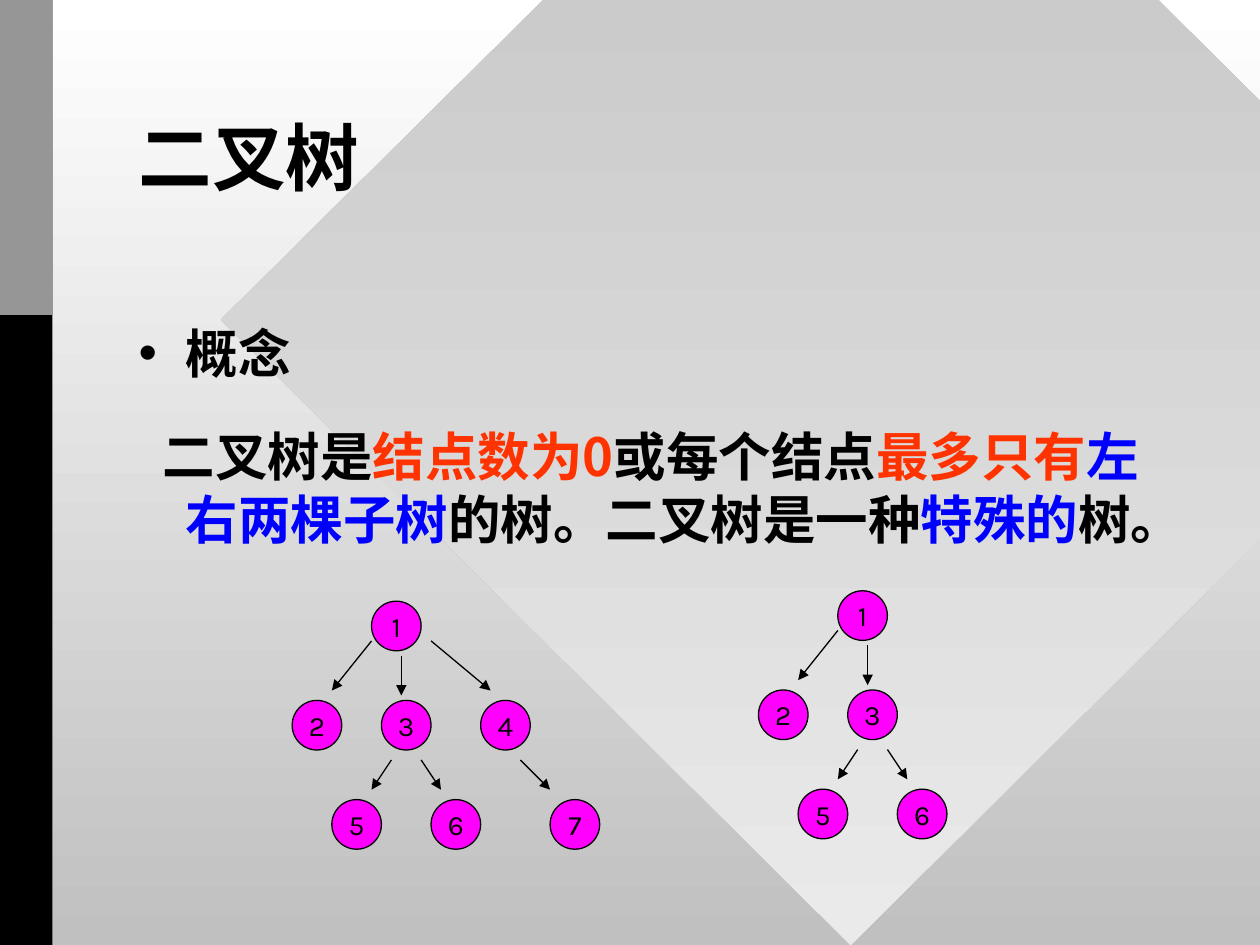
from lxml import etree
from pptx import Presentation
from pptx import util as u
from pptx.dml.color import RGBColor
from pptx.enum import shapes, text
from pptx.oxml import ns

INK, RED, BLUE, MAGENTA = "010000", "FF3300", "0000FF", "FF00FF"
LATIN, CHINESE = "Karla", "Noto Sans CJK SC"

# Offsets in cm from the top left corner of each tree's root node
NODES = {"1": (0, 0), "2": (-1.6, 2), "3": (0.2, 2), "4": (2.2, 2),
         "5": (-0.8, 4), "6": (1.2, 4), "7": (3.6, 4)}
ARROWS = {"2": (0, 0.8, -0.8, 1.8), "3": (0.6, 1.1, 0.6, 1.9),
          "4": (1.2, 0.8, 2.4, 1.8), "5": (0.4, 3.2, 0, 3.8),
          "6": (1, 3.2, 1.4, 3.8), "7": (3, 3.2, 3.6, 3.8)}
TREES = [((7.49, 12.12), "1234567"), ((16.89, 11.91), "12356")]

DEFINITION = [("二叉树是", INK), ("结点数为0", RED), ("或每个结点", INK),
              ("最多只有", RED), ("左右两棵子树", BLUE),
              ("的树。二叉树是一种", INK), ("特殊的", BLUE), ("树。", INK)]


def rgb(value):
    return RGBColor.from_string(value)


def apply(target, values):
    for name, value in values.items():
        setattr(target, name, value)


def fill_gradient(fill, colours):
    """Vertical gradient from the first colour at the top to the second."""
    fill.gradient()
    fill.gradient_angle = 270
    for stop, colour, position in zip(fill.gradient_stops, colours, (0, 1)):
        stop.color.rgb = rgb(colour)
        stop.position = position


class SlideBuilder:
    def __init__(self, page):
        self.page = page
        self.line_width = u.Pt(0.75)
        self.node_size = u.Cm(1)

    def background(self, colours):
        fill_gradient(self.page.background.fill, colours)

    def decoration(self, kind, place, colours):
        shape = self.page.shapes.add_shape(kind, *map(u.Cm, place))
        shape.shadow.inherit = False
        shape.line.fill.background()
        if len(colours) == 2:
            fill_gradient(shape.fill, colours)
        else:
            shape.fill.solid()
            shape.fill.fore_color.rgb = rgb(colours[0])

    def placeholder(self, index, place, anchor):
        """Place a template placeholder in front of what is already drawn."""
        box = self.page.placeholders[index]
        apply(box, dict(zip(("left", "top", "width", "height"), map(u.Cm, place))))
        apply(box.text_frame, {"word_wrap": True, "vertical_anchor": anchor,
                               "auto_size": text.MSO_AUTO_SIZE.NONE})
        box.element.getparent().append(box.element)
        return box.text_frame

    def span(self, para, words, size, colour=INK, latin=LATIN, bold=True):
        span = para.add_run()
        span.text = words
        apply(span.font, {"size": u.Pt(size), "bold": bold, "name": latin})
        span.font.color.rgb = rgb(colour)
        etree.SubElement(span._r.get_or_add_rPr(), ns.qn("a:ea"), typeface=CHINESE)

    def title(self, words, place):
        para = self.placeholder(0, place, text.MSO_ANCHOR.MIDDLE).paragraphs[0]
        apply(para, {"alignment": text.PP_ALIGN.LEFT, "line_spacing": 0.85})
        self.span(para, words, 42)

    def body(self, heading, definition, place):
        frame = self.placeholder(1, place, text.MSO_ANCHOR.TOP)
        bullet = frame.paragraphs[0]
        self.body_layout(bullet, first_indent=-0.95, space_before=0)
        self.span(bullet, heading, 30)
        para = frame.add_paragraph()
        etree.SubElement(para._p.get_or_add_pPr(), ns.qn("a:buNone"))
        self.body_layout(para, first_indent=-0.46, space_before=22.5)
        for words, colour in definition:
            self.span(para, words, 30, colour, CHINESE)

    def body_layout(self, para, first_indent, space_before):
        properties = para._p.get_or_add_pPr()
        properties.set("marL", str(u.Cm(0.95)))
        properties.set("indent", str(u.Cm(first_indent)))
        apply(para, {"line_spacing": u.Pt(36), "space_before": u.Pt(space_before)})

    def node(self, group, label, x, y):
        node = group.shapes.add_shape(shapes.MSO_SHAPE.OVAL, u.Cm(x), u.Cm(y),
                                      self.node_size, self.node_size)
        node.shadow.inherit = False
        node.fill.solid()
        node.fill.fore_color.rgb = rgb(MAGENTA)
        node.line.color.rgb = rgb(INK)
        node.line.width = self.line_width
        apply(node.text_frame, {"word_wrap": False,
                                "vertical_anchor": text.MSO_ANCHOR.MIDDLE})
        para = node.text_frame.paragraphs[0]
        para.alignment = text.PP_ALIGN.CENTER
        self.span(para, label, 16, bold=False)

    def arrow(self, group, ends):
        arrow = group.shapes.add_connector(shapes.MSO_CONNECTOR.STRAIGHT,
                                           *map(u.Cm, ends))
        arrow.line.color.rgb = rgb(INK)
        arrow.line.width = self.line_width
        etree.SubElement(arrow.line._get_or_add_ln(), ns.qn("a:tailEnd"), type="triangle")
        etree.SubElement(arrow.element.spPr, ns.qn("a:effectLst"))

    def tree(self, root, labels):
        left, top = root
        group = self.page.shapes.add_group_shape()
        for label in labels:
            x, y = NODES[label]
            self.node(group, label, left + x, top + y)
        for label in labels[1:]:
            x1, y1, x2, y2 = ARROWS[label]
            self.arrow(group, (left + x1, top + y1, left + x2, top + y2))


def main():
    deck = Presentation()
    apply(deck, {"slide_width": u.Cm(25.4), "slide_height": u.Cm(19.05)})
    builder = SlideBuilder(deck.slides.add_slide(deck.slide_layouts[1]))
    builder.background(("FFFFFF", "C0C0C0"))
    builder.decoration(shapes.MSO_SHAPE.DIAMOND, (4.45, -6.15, 25.4, 25.2),
                       ("C0C0C0", "EAEAEA"))
    for height, colour in ((19.05, "000000"), (6.35, "969696")):
        builder.decoration(shapes.MSO_SHAPE.RECTANGLE, (0, 0, 1.06, height), (colour,))
    builder.title("二叉树", (2.54, 1.69, 20.32, 3.18))
    builder.body("概念", DEFINITION, (2.54, 6.35, 20.96, 10.16))
    for root, labels in TREES:
        builder.tree(root, labels)
    deck.save("out.pptx")


if __name__ == "__main__":
    main()
